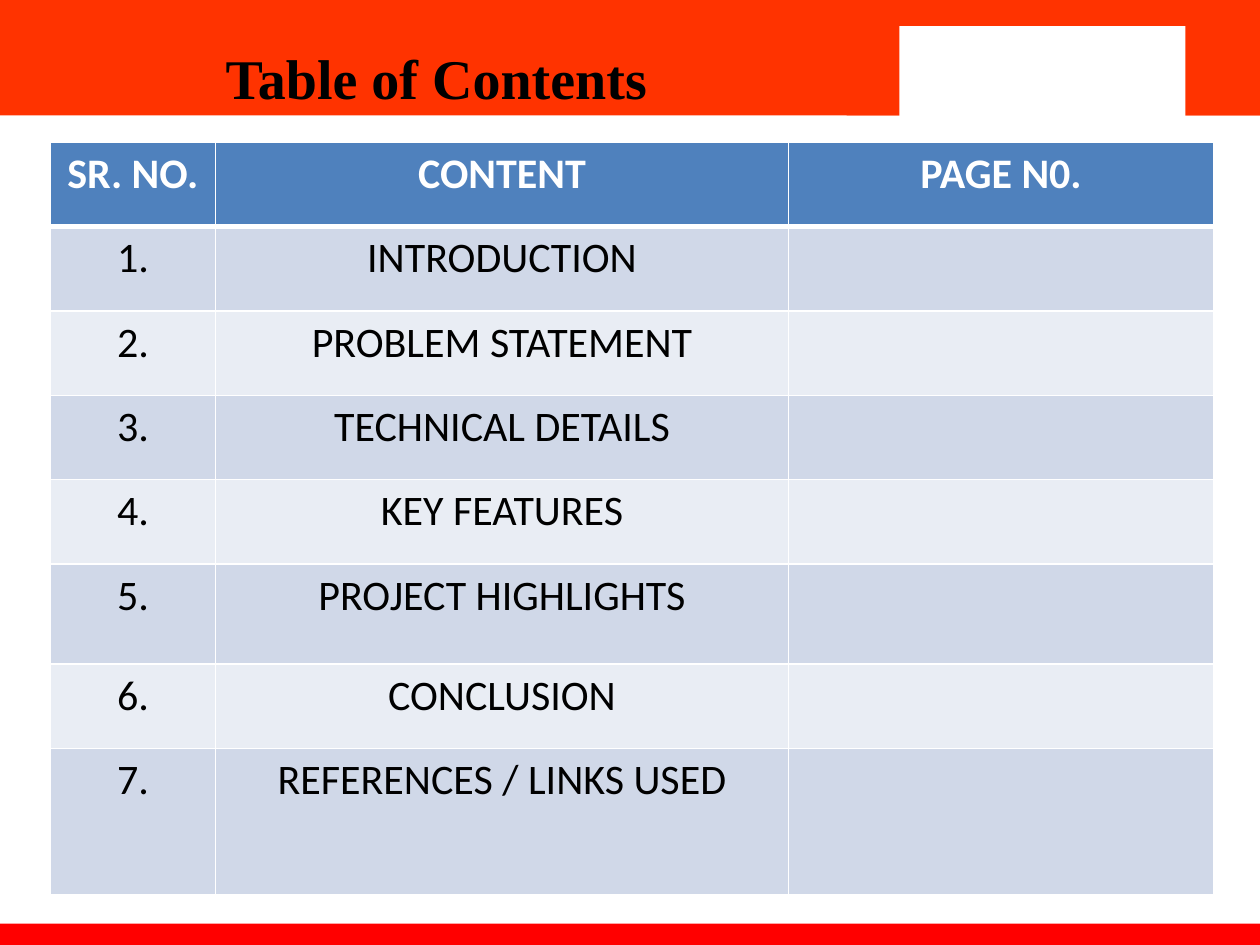
from lxml.etree import SubElement
from pptx import Presentation
from pptx.dml.color import RGBColor
from pptx.enum.shapes import MSO_SHAPE as Preset
from pptx.enum.text import MSO_ANCHOR as Anchor, MSO_AUTO_SIZE as AutoSize, PP_ALIGN as Align
from pptx.oxml.ns import qn
from pptx.util import Cm, Pt

TITLE = "Table of Contents"
HEADINGS = ["SR. NO.", "CONTENT", "PAGE N0."]
TOPICS = [
    "INTRODUCTION",
    "PROBLEM STATEMENT",
    "TECHNICAL DETAILS",
    "KEY FEATURES",
    "PROJECT HIGHLIGHTS",
    "CONCLUSION",
    "REFERENCES / LINKS USED",
]

THEME = {
    "banner": "FF3300", "footer": "FF0000", "paper": "FFFFFF", "ink": "000000",
    "header": "4F81BD", "bands": ("D0D8E8", "E9EDF4"),
    "title_font": "Times New Roman", "title_size": 32,
    "table_font": "Calibri", "table_size": 24,
    "thin": 1, "thick": 3,
}

# Lengths in centimetres: left, top, width, height
SLIDE_SIZE = (25.4, 19.05)
BARS = [
    ((0, 0, 25.4, 2.33), "banner"),
    ((0, 18.62, 25.4, 0.55), "footer"),
    ((17.07, 0, 8.33, 2.33), "banner"),
    ((18.13, 0.53, 5.77, 1.9), "paper"),
]
TITLE_BOX = (1.3, 0.75, 15, 1.63)
TABLE_ORIGIN = (1.02, 2.87)
COLUMN_WIDTHS = [3.32, 11.56, 8.56]
ROW_HEIGHT = 1.7
TALL_ROWS = {5: 2.02, 7: 2.94}


def color(value):
    return RGBColor.from_string(value)


def set_format(target, values):
    for name, value in values.items():
        setattr(target, name, value)


def write(frame, text, font, size, ink, bold):
    paragraph = frame.paragraphs[0]
    paragraph.alignment = Align.CENTER
    run = paragraph.add_run()
    run.text = text
    set_format(run.font, {"name": font, "size": Pt(size), "bold": bold})
    run.font.color.rgb = color(ink)


def add_bar(slide, box, fill):
    shape = slide.shapes.add_shape(Preset.RECTANGLE, *map(Cm, box))
    shape.shadow.inherit = False
    shape.fill.solid()
    shape.fill.fore_color.rgb = color(fill)
    shape.line.fill.background()


def add_title(slide):
    title = slide.shapes.title
    set_format(title, dict(zip(("left", "top", "width", "height"), map(Cm, TITLE_BOX))))
    set_format(title.text_frame, {
        "word_wrap": True, "vertical_anchor": Anchor.TOP, "auto_size": AutoSize.SHAPE_TO_FIT_TEXT,
    })
    write(title.text_frame, TITLE, THEME["title_font"], THEME["title_size"], THEME["ink"], True)
    slide.shapes[-1].element.addnext(title.element)  # in front of the bars


def add_borders(cell, widths):
    properties = cell._tc.get_or_add_tcPr()
    for side, width in widths.items():
        line = SubElement(properties, qn(f"a:ln{side}"), w=str(Pt(width)))
        fill = SubElement(line, qn("a:solidFill"))
        SubElement(fill, qn("a:srgbClr"), val=THEME["paper"])


def style_cell(cell, row, text):
    is_header = row == 0
    thin, thick = THEME["thin"], THEME["thick"]
    add_borders(cell, {
        "L": thin, "R": thin,
        "T": thick if row == 1 else thin,
        "B": thick if is_header else thin,
    })
    cell.fill.solid()
    cell.fill.fore_color.rgb = color(THEME["header"] if is_header else THEME["bands"][(row - 1) % 2])
    if text:
        ink = THEME["paper"] if is_header else THEME["ink"]
        write(cell.text_frame, text, THEME["table_font"], THEME["table_size"], ink, is_header)


def add_contents_table(slide):
    rows = [HEADINGS] + [[f"{number}.", topic, ""] for number, topic in enumerate(TOPICS, 1)]
    heights = [TALL_ROWS.get(row, ROW_HEIGHT) for row in range(len(rows))]
    box = (*TABLE_ORIGIN, sum(COLUMN_WIDTHS), sum(heights))
    table = slide.shapes.add_table(len(rows), len(HEADINGS), *map(Cm, box)).table
    for column, width in zip(table.columns, COLUMN_WIDTHS):
        column.width = Cm(width)
    for row, (texts, height) in enumerate(zip(rows, heights)):
        table.rows[row].height = Cm(height)
        for column, text in enumerate(texts):
            style_cell(table.cell(row, column), row, text)


def main():
    presentation = Presentation()
    presentation.slide_width, presentation.slide_height = map(Cm, SLIDE_SIZE)
    slide = presentation.slides.add_slide(presentation.slide_layouts.get_by_name("Title Only"))
    for box, fill in BARS:
        add_bar(slide, box, THEME[fill])
    add_title(slide)
    add_contents_table(slide)
    presentation.save("out.pptx")


if __name__ == "__main__":
    main()
